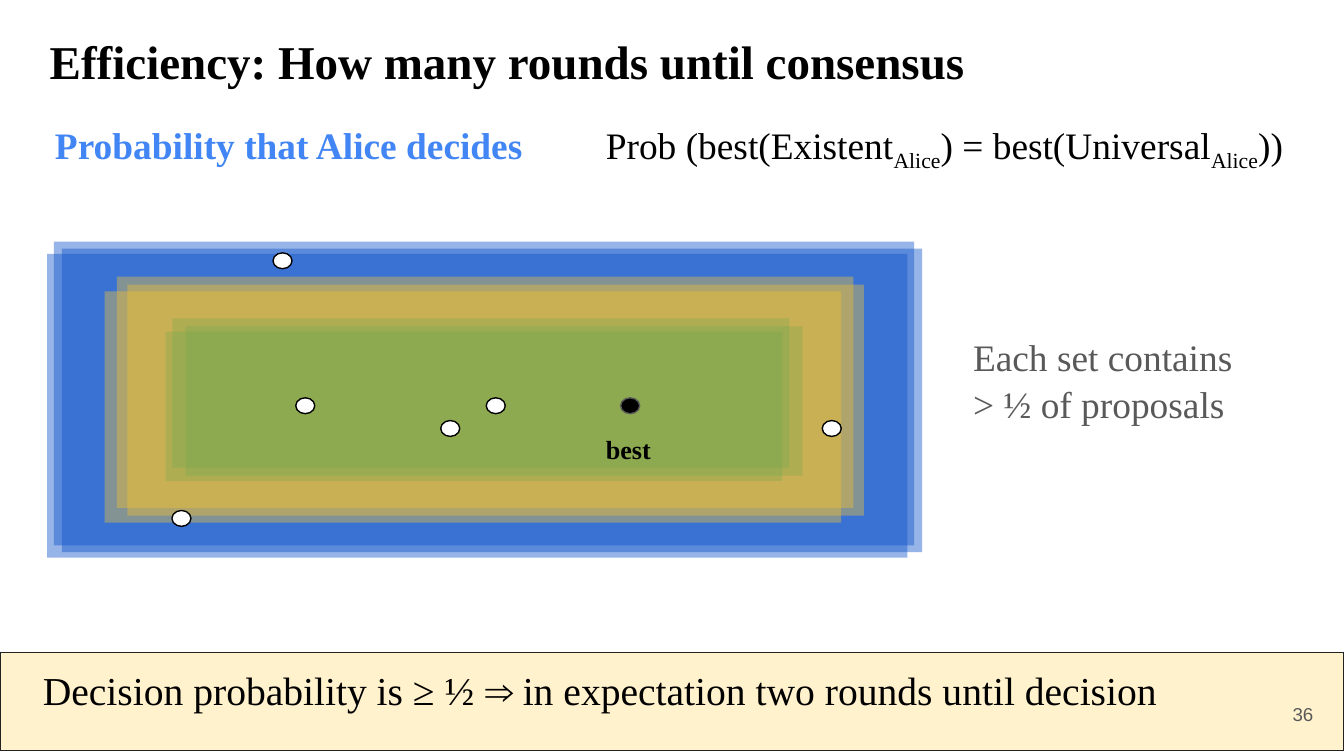
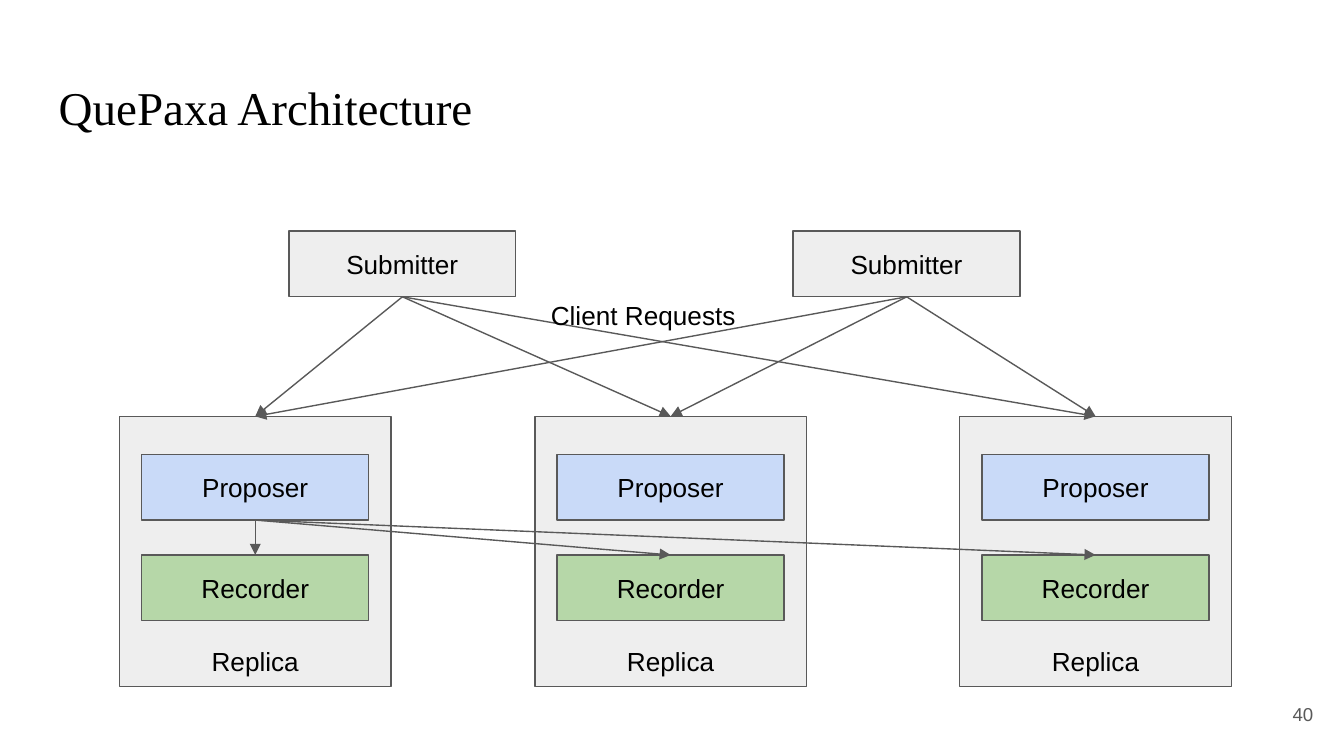
"""Build two slides on a consensus protocol: efficiency and architecture."""
from dataclasses import dataclass

from lxml import etree
from pptx import Presentation
from pptx.dml.color import RGBColor
from pptx.enum.shapes import MSO_CONNECTOR, MSO_SHAPE
from pptx.enum.text import MSO_ANCHOR, MSO_AUTO_SIZE, PP_ALIGN
from pptx.oxml.ns import qn
from pptx.util import Cm, Pt

RECT, OVAL = MSO_SHAPE.RECTANGLE, MSO_SHAPE.OVAL
STRAIGHT = MSO_CONNECTOR.STRAIGHT
TOP, MID, LOW = MSO_ANCHOR.TOP, MSO_ANCHOR.MIDDLE, MSO_ANCHOR.BOTTOM
LEFT, MIDDLE, RIGHT = PP_ALIGN.LEFT, PP_ALIGN.CENTER, PP_ALIGN.RIGHT
FIXED = MSO_AUTO_SIZE.NONE

SERIF, SANS = "Times New Roman", "Arial"
BLACK, WHITE, GRAY, PALE = "000000", "FFFFFF", "595959", "EEEEEE"
BLUE, GOLD, GREEN = "1155CC", "F1C232", "6AA84F"
HEAD, CREAM, INK = "4285F4", "FFF2CC", "222222"
SKY, MINT = "C9DAF8", "B6D7A8"

WIDE, HIGH = 25.4, 14.29
INSET = 0.25
TOP_SITE, LOW_SITE = 0, 2


@dataclass(frozen=True)
class Box:
    left: float
    top: float
    width: float
    height: float

    def cm(self) -> tuple[Cm, Cm, Cm, Cm]:
        return Cm(self.left), Cm(self.top), Cm(self.width), Cm(self.height)


@dataclass(frozen=True)
class Stack:
    color: str
    alpha: int
    width: float
    height: float
    spots: tuple[tuple[float, float], ...]


@dataclass(frozen=True)
class Dot:
    left: float
    top: float
    fill: str = WHITE
    edge: str = BLACK


STACKS = (
    Stack(BLUE, 44, 16.26, 5.74, ((1.02, 4.57), (1.17, 4.7), (0.89, 4.8))),
    Stack(GOLD, 40, 13.92, 4.37, ((2.21, 5.23), (2.41, 5.38), (1.98, 5.51))),
    Stack(GREEN, 28, 11.66, 2.82, ((3.26, 6.02), (3.51, 6.17), (3.13, 6.27))),
)
DOTS = (
    Dot(9.19, 7.52), Dot(8.33, 7.95), Dot(5.59, 7.52), Dot(15.54, 7.95),
    Dot(3.25, 9.65), Dot(5.16, 4.78), Dot(11.73, 7.52, BLACK, GRAY),
)
REPLICAS = (2.26, 10.11, 18.14)
SUBMITTERS = (5.46, 14.99)


def rgb(code: str) -> RGBColor:
    return RGBColor.from_string(code)


def write(shape, text: str, *, size: float = 14, font: str = SANS,
          color: str = BLACK, bold: bool = False, align=LEFT, anchor=TOP,
          left: float = INSET, low: float = INSET, gap: float = 1.0) -> None:
    frame = shape.text_frame
    frame.word_wrap = True
    frame.auto_size = FIXED
    frame.vertical_anchor = anchor
    frame.margin_left, frame.margin_bottom = Cm(left), Cm(low)
    frame.margin_right = frame.margin_top = Cm(INSET)
    for row, line in enumerate(text.split("\n")):
        para = frame.add_paragraph() if row else frame.paragraphs[0]
        para.alignment = align
        para.line_spacing = gap
        para.space_before = Pt(0)
        for index, part in enumerate(line.split("_")):
            run = para.add_run()
            run.text = part
            run.font.size, run.font.name = Pt(size), font
            run.font.bold, run.font.color.rgb = bold, rgb(color)
            if index % 2:
                run.font._element.set("baseline", "-25000")


def label(slide, box: Box, text: str, **style) -> None:
    write(slide.shapes.add_textbox(*box.cm()), text, **style)


def draw(slide, box: Box, fill: str, edge: str | None = None,
         kind=RECT, alpha: int = 100):
    shape = slide.shapes.add_shape(kind, *box.cm())
    shape.shadow.inherit = False
    shape.fill.solid()
    shape.fill.fore_color.rgb = rgb(fill)
    if alpha < 100:
        tint = shape.element.spPr.find(".//" + qn("a:srgbClr"))
        etree.SubElement(tint, qn("a:alpha"), val=str(alpha * 1000))
    if edge:
        shape.line.color.rgb = rgb(edge)
        shape.line.width = Pt(0.75)
    else:
        shape.line.fill.background()
    return shape


def node(slide, left: float, top: float, text: str, fill: str):
    shape = draw(slide, Box(left, top, 4.29, 1.24), fill, GRAY)
    write(shape, text, align=MIDDLE, anchor=MID)
    return shape


def arrow(slide, start, end) -> None:
    link = slide.shapes.add_connector(STRAIGHT, 0, 0, 0, 0)
    link.begin_connect(start, LOW_SITE)
    link.end_connect(end, TOP_SITE)
    link.line.color.rgb = rgb(GRAY)
    link.line.width = Pt(0.75)
    props = link.element.spPr
    etree.SubElement(props.find(qn("a:ln")), qn("a:tailEnd"), type="triangle")
    etree.SubElement(props, qn("a:effectLst"))


def start(deck, text: str, left: float, top: float, bold: bool = False):
    slide = deck.slides.add_slide(deck.slide_layouts[5])
    title = slide.shapes.title
    title.left, title.top, title.width, title.height = Box(
        left, top, 23.67, 1.6).cm()
    write(title, text, size=25.2, font=SERIF, bold=bold)
    return slide


def number(slide, page: int) -> None:
    label(slide, Box(23.55, 12.95, 1.52, 1.09), str(page), size=10,
          color=GRAY, align=RIGHT, anchor=MID)


def rounds(deck) -> None:
    slide = start(deck, "Efficiency: How many rounds until consensus",
                  0.69, 0.36, bold=True)
    for stack in STACKS:
        for left, top in stack.spots:
            draw(slide, Box(left, top, stack.width, stack.height),
                 stack.color, alpha=stack.alpha)
    label(slide, Box(11.2, 2.06, 14.2, 1.37),
          "Prob (best(Existent_Alice_) = best(Universal_Alice_))",
          size=20, font=SERIF)
    label(slide, Box(0.79, 2.06, 10.52, 1.37), "Probability that Alice decides",
          size=20, font=SERIF, color=HEAD, bold=True)
    label(slide, Box(18.14, 6.02, 7.26, 2.24),
          "Each set contains\n> ½ of proposals",
          size=20, font=SERIF, color=GRAY, gap=1.05)
    band = draw(slide, Box(0, 12.34, WIDE, 1.85), CREAM, INK)
    write(band, "Decision probability is ≥ ½ ⇒ in expectation two rounds "
          "until decision", size=21.2, font=SERIF, left=0.81)
    for dot in DOTS:
        draw(slide, Box(dot.left, dot.top, 0.36, 0.3), dot.fill, dot.edge, OVAL)
    label(slide, Box(11.2, 7.95, 1.68, 1.12), "best", font=SERIF, bold=True)
    number(slide, 36)


def layers(deck) -> None:
    slide = start(deck, "QuePaxa Architecture", 0.86, 1.24)
    hosts, sources, sinks = [], [], []
    for left in REPLICAS:
        host = draw(slide, Box(left, 7.87, 5.13, 5.11), PALE, GRAY)
        write(host, "Replica", align=MIDDLE, anchor=LOW, low=0.18)
        hosts.append(host)
        sources.append(node(slide, left + 0.42, 8.59, "Proposer", SKY))
        sinks.append(node(slide, left + 0.42, 10.49, "Recorder", MINT))
    clients = [node(slide, left, 4.37, "Submitter", PALE)
               for left in SUBMITTERS]
    for client in clients:
        for host in hosts:
            arrow(slide, client, host)
    label(slide, Box(10.16, 5.41, 4.45, 0.71), "Client Requests")
    for sink in sinks:
        arrow(slide, sources[0], sink)
    number(slide, 40)


def main() -> None:
    deck = Presentation()
    deck.slide_width, deck.slide_height = Cm(WIDE), Cm(HIGH)
    rounds(deck)
    layers(deck)
    deck.save("out.pptx")


if __name__ == "__main__":
    main()
